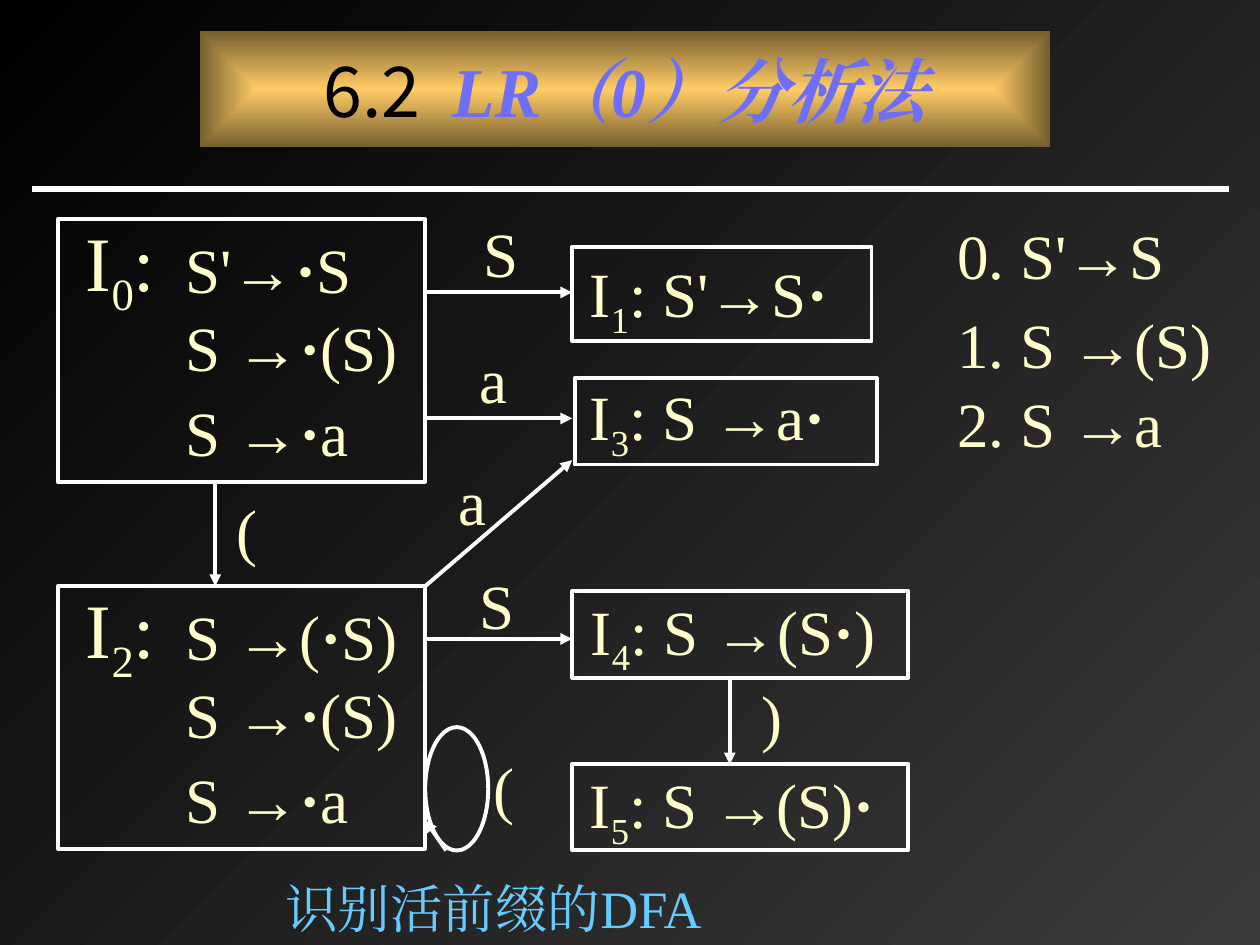
"""Draw the DFA that recognises viable prefixes for an LR(0) grammar."""
from dataclasses import dataclass
from typing import NamedTuple

from lxml import etree
from pptx import Presentation
from pptx import util as u
from pptx.dml.color import RGBColor
from pptx.enum import shapes, text
from pptx.oxml import ns
from pptx.slide import Slide

WHITE = RGBColor(0xFF, 0xFF, 0xFF)
BLACK = RGBColor(0, 0, 0)
GREY = RGBColor(0x3B, 0x3B, 0x3B)
CREAM = RGBColor(0xFF, 0xFF, 0xCC)
GOLD = RGBColor(0xFF, 0xCC, 0x66)
BRONZE = RGBColor(0x76, 0x5E, 0x2F)
VIOLET = RGBColor(0x6E, 0x6E, 0xF8)
SKY = RGBColor(0x66, 0xCC, 0xFF)
SERIF = "Times New Roman"
SANS = "Noto Sans CJK SC"
WIDE, HIGH = u.Inches(10), u.Inches(7.5)
COLS, ROWS = 240, 180
LEFT, MID = text.PP_ALIGN.LEFT, text.PP_ALIGN.CENTER
RECT, OVAL = shapes.MSO_SHAPE.RECTANGLE, shapes.MSO_SHAPE.OVAL


class Area(NamedTuple):
    col: float
    row: float
    wide: float
    high: float


class Bit(NamedTuple):
    words: str
    size: float = 36
    color: RGBColor = CREAM
    font: str = SERIF
    bold: bool = False
    slant: bool = False
    sub: bool = False


class Edge(NamedTuple):
    col: float
    row: float
    to_col: float
    to_row: float


class Label(NamedTuple):
    words: str
    col: float
    row: float
    wide: float


@dataclass
class Core:
    num: str
    row: float
    items: tuple


@dataclass
class State:
    num: str
    item: str
    box: Area
    col: float
    row: float


CORES = (
    Core("0", 41.75, ("S'→·S", "S →·(S)", "S →·a")),
    Core("2", 111.65, ("S →(·S)", "S →·(S)", "S →·a")),
)
STATES = (
    State("1", "S'→S·", Area(109, 47, 57, 18), 110, 47.3),
    State("3", "S →a·", Area(109.5, 72, 57.5, 16.5), 110, 70.8),
    State("4", "S →(S·)", Area(109, 112.6, 64, 16.5), 110.2, 111.6),
    State("5", "S →(S)·", Area(109, 145.5, 64, 16.5), 110, 144.7),
)
EDGES = (
    Edge(81, 55.7, 109, 55.7),
    Edge(81, 79.7, 109, 79.7),
    Edge(81, 121.7, 109, 121.7),
    Edge(81, 111.65, 109, 87.65),
    Edge(41, 91.75, 41, 111.65),
    Edge(139, 129.6, 139, 145.6),
    Edge(85, 162, 81, 156.25),
)
LABELS = (
    Label("S", 89, 39.6, 13),
    Label("a", 87, 63.6, 14),
    Label("a", 83, 86.9, 14),
    Label("S", 89, 106.8, 10),
    Label("(", 41, 92.4, 12),
    Label("(", 91, 141.6, 10),
    Label(")", 142, 127.9, 10),
)
RULES = (
    Label("0. S'→S", 180, 40, 58),
    Label("1. S →(S)", 180, 57.1, 54),
    Label("2. S →a", 180, 72, 50),
)


def horiz(col: float) -> int:
    """Turn grid columns into a length."""
    return round(WIDE * col / COLS)


def vert(row: float) -> int:
    """Turn grid rows into a length."""
    return round(HIGH * row / ROWS)


def place(area: Area) -> tuple:
    """Turn a grid area into left, top, width and height."""
    return horiz(area.col), vert(area.row), horiz(area.wide), vert(area.high)


def write(frame, bits: list, align=LEFT) -> None:
    """Fill a text frame with one paragraph of styled runs."""
    frame.word_wrap = True
    para = frame.paragraphs[0]
    para.alignment = align
    for bit in bits:
        run = para.add_run()
        run.text = bit.words
        font = run.font
        font.name, font.size = bit.font, u.Pt(bit.size)
        font.bold, font.italic = bit.bold, bit.slant
        font.color.rgb = bit.color
        props = run._r.get_or_add_rPr()
        etree.SubElement(props, ns.qn("a:ea"), typeface=bit.font)
        if bit.sub:
            props.set("baseline", "-25000")


def add_text(page: Slide, area: Area, bits: list, align=LEFT) -> None:
    """Add a text box on the grid."""
    write(page.shapes.add_textbox(*place(area)).text_frame, bits, align)


def add_box(page: Slide, area: Area, kind=RECT):
    """Add an unfilled white outline."""
    box = page.shapes.add_shape(kind, *place(area))
    box.shadow.inherit = False
    box.fill.background()
    box.line.color.rgb, box.line.width = WHITE, u.Pt(2.25)
    return box


def add_line(page: Slide, edge: Edge, width: float = 2.25, head: bool = True) -> None:
    """Add a white line, with an arrowhead unless told otherwise."""
    line = page.shapes.add_connector(
        shapes.MSO_CONNECTOR.STRAIGHT, horiz(edge.col), vert(edge.row),
        horiz(edge.to_col), vert(edge.to_row))
    line.line.color.rgb, line.line.width = WHITE, u.Pt(width)
    if head:
        etree.SubElement(line.line._get_or_add_ln(), ns.qn("a:tailEnd"), type="triangle")
    etree.SubElement(line._element.spPr, ns.qn("a:effectLst"))


def blend(fill, start: RGBColor, end: RGBColor) -> None:
    """Give a fill a gradient of two colours."""
    fill.gradient()
    for stop, color, pos in zip(fill.gradient_stops, (start, end), (0, 1)):
        stop.color.rgb, stop.position = color, pos


def dotted(words: str) -> list:
    """Split an item at its dot and make the dot bold."""
    head, dot, tail = words.partition("·")
    bits = [Bit(head), Bit(dot, bold=True), Bit(tail)]
    return [bit for bit in bits if bit.words]


def add_title(page: Slide) -> None:
    """Add the golden title plate."""
    plate = add_box(page, Area(38, 6, 162, 22))
    plate.line.fill.background()
    blend(plate.fill, GOLD, BRONZE)
    lin = plate._element.spPr.find(".//" + ns.qn("a:lin"))
    ring = etree.Element(ns.qn("a:path"), path="rect")
    etree.SubElement(ring, ns.qn("a:fillToRect"), l="50000", t="50000", r="50000", b="50000")
    lin.getparent().replace(lin, ring)
    plate.text_frame.vertical_anchor = text.MSO_ANCHOR.MIDDLE
    write(plate.text_frame, [
        Bit("6.2  ", 40, BLACK, SANS),
        Bit("LR（0）分析法", 40, VIOLET, bold=True, slant=True)], MID)


def add_core(page: Slide, core: Core) -> None:
    """Add a large state with its three items."""
    add_box(page, Area(11, core.row, 70, 50))
    name = [Bit("I", 44), Bit(core.num, 44, sub=True), Bit(":", 44)]
    add_text(page, Area(11, core.row - 2.1, 24, 22.5), name, MID)
    for item, step in zip(core.items, (1, 15.9, 32)):
        add_text(page, Area(33, core.row + step, 48, 16.8), dotted(item))


def add_state(page: Slide, state: State) -> None:
    """Add a small state with its single item."""
    add_box(page, state.box)
    first, *rest = dotted(": " + state.item)
    bits = [Bit("I"), Bit(state.num, sub=True), first, *rest]
    add_text(page, Area(state.col, state.row, 66, 19), bits)


def main() -> None:
    """Build and save the slide."""
    deck = Presentation()
    deck.slide_width, deck.slide_height = WIDE, HIGH
    page = deck.slides.add_slide(deck.slide_layouts[6])
    back = page.background.fill
    blend(back, BLACK, GREY)
    back.gradient_angle = 315
    add_title(page)
    add_line(page, Edge(6, 36, 234, 36), 3, False)
    for core in CORES:
        add_core(page, core)
    for state in STATES:
        add_state(page, state)
    add_box(page, Area(81, 138.5, 12, 23.5), OVAL)
    for edge in EDGES:
        add_line(page, edge)
    for group, align in ((LABELS, MID), (RULES, LEFT)):
        for mark in group:
            add_text(page, Area(mark.col, mark.row, mark.wide, 16.8), [Bit(mark.words)], align)
    add_text(page, Area(44, 165.6, 100, 14.4), [Bit("识别活前缀的DFA", 30, SKY)], MID)
    deck.save("out.pptx")


if __name__ == "__main__":
    main()
